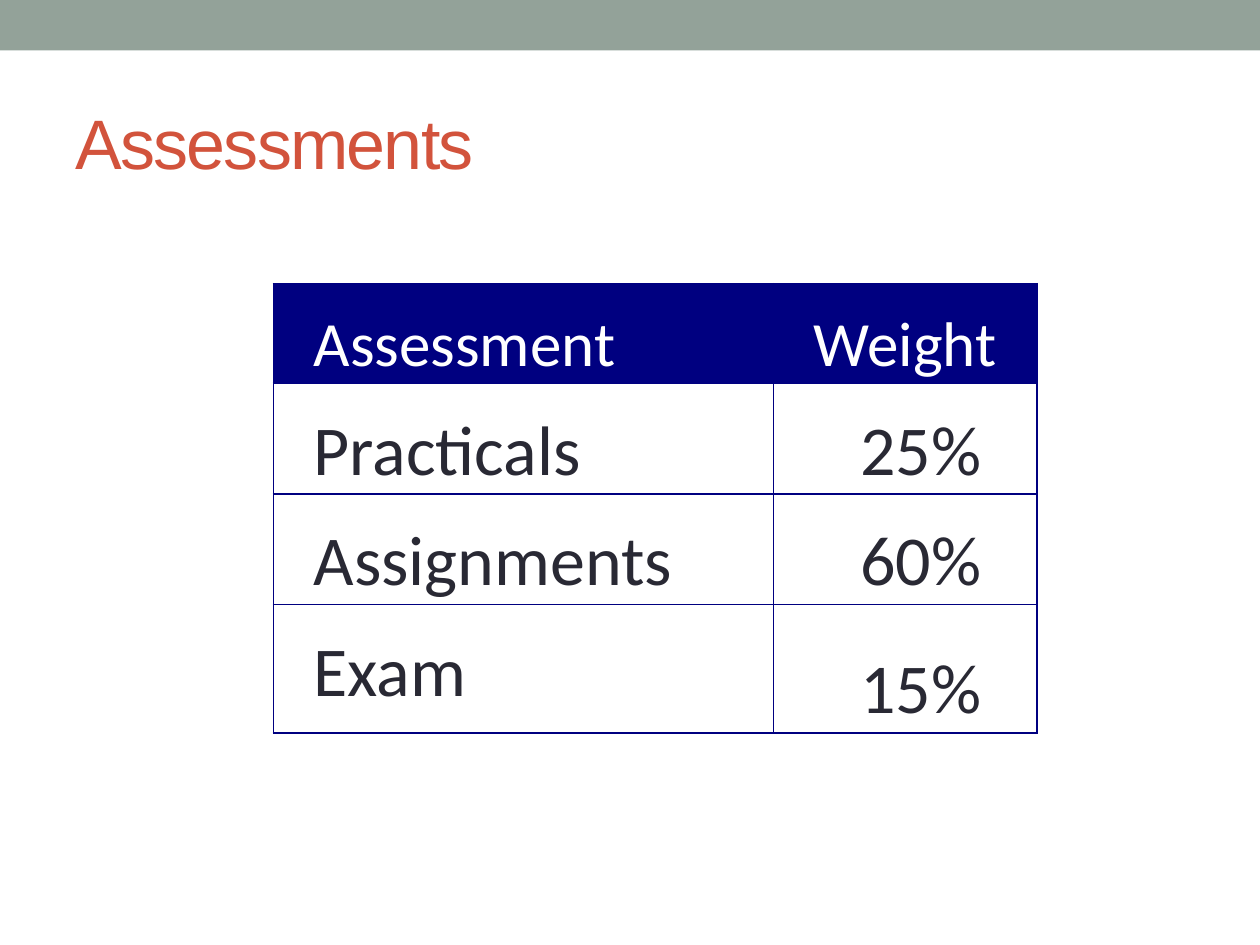
from pptx import Presentation
from pptx.dml.color import RGBColor
from pptx.enum.shapes import MSO_SHAPE
from pptx.enum.text import MSO_ANCHOR, PP_ALIGN
from pptx.oxml.ns import qn
from pptx.util import Inches, Pt
from lxml.etree import SubElement

NAVY = "000080"
ROWS = [("Assessment", "Weight"), ("Practicals", "25%"),
        ("Assignments", "60%"), ("Exam", "15%")]
WIDTHS = [3.97, 2.09]
HEIGHTS = [0.79, 0.88, 0.88, 1.02]


def paint(fill, color):
    fill.solid()
    fill.fore_color.rgb = RGBColor.from_string(color)


def write(frame, text, size, color, font, align=PP_ALIGN.LEFT, track=None):
    """Put text in the frame's first paragraph, which is returned."""
    para = frame.paragraphs[0]
    para.alignment = align
    run = para.add_run()
    run.text = text
    run.font.size = Pt(size)
    run.font.name = font
    run.font.color.rgb = RGBColor.from_string(color)
    if track is not None:
        run.font._element.set("spc", str(track * 100))
    return para


def add_band(slide, color):
    band = slide.shapes.add_shape(MSO_SHAPE.RECTANGLE, 0, 0, Inches(10), Inches(0.4))
    band.shadow.inherit = False
    paint(band.fill, color)
    band.line.fill.background()


def add_title(slide, text):
    box = slide.shapes.add_textbox(Inches(0.5), Inches(0.58), Inches(9), Inches(1.08))
    frame = box.text_frame
    frame.word_wrap = True
    frame.vertical_anchor = MSO_ANCHOR.MIDDLE
    write(frame, text, 40, "D2533C", "Arial", track=-1)


def add_edges(cell, color, width):
    """Draw all four borders; call before the cell gets its fill."""
    props = cell._tc.get_or_add_tcPr()
    for side in ("lnL", "lnR", "lnT", "lnB"):
        line = SubElement(props, qn(f"a:{side}"), w=str(Pt(width)))
        fill = SubElement(line, qn("a:solidFill"))
        SubElement(fill, qn("a:srgbClr"), val=color)


def fill_cell(cell, text, head, align, spacing):
    cell.margin_left = cell.margin_right = Inches(0.07)
    cell.margin_top = cell.margin_bottom = 0
    add_edges(cell, NAVY, 1)
    if head:
        paint(cell.fill, NAVY)
    else:
        cell.fill.background()
    size, color = (36, "FFFFFF") if head else (40, "292934")
    para = write(cell.text_frame, text, size, color, "Calibri", align)
    para.line_spacing = spacing
    para.space_before = Pt(6)
    para.space_after = Pt(3)
    props = para._p.get_or_add_pPr()
    props.set("marL", str(Inches(0.25)))
    props.set("indent", "0")


def add_weights(slide):
    frame = slide.shapes.add_table(
        len(ROWS), len(WIDTHS), Inches(2.17), Inches(2.25),
        Inches(sum(WIDTHS)), Inches(sum(HEIGHTS)))
    table = frame.table
    table.first_row = table.horz_banding = False
    for col, width in zip(table.columns, WIDTHS):
        col.width = Inches(width)
    for r, (row, height) in enumerate(zip(ROWS, HEIGHTS)):
        table.rows[r].height = Inches(height)
        for c, text in enumerate(row):
            align = PP_ALIGN.CENTER if r and c else PP_ALIGN.LEFT
            spacing = 1.5 if text == "15%" else 1.3
            fill_cell(table.cell(r, c), text, r == 0, align, spacing)


def main():
    deck = Presentation()
    deck.slide_width, deck.slide_height = Inches(10), Inches(7.5)
    slide = deck.slides.add_slide(deck.slide_layouts[6])
    add_band(slide, "93A299")
    add_title(slide, "Assessments")
    add_weights(slide)
    deck.save("out.pptx")


if __name__ == "__main__":
    main()
